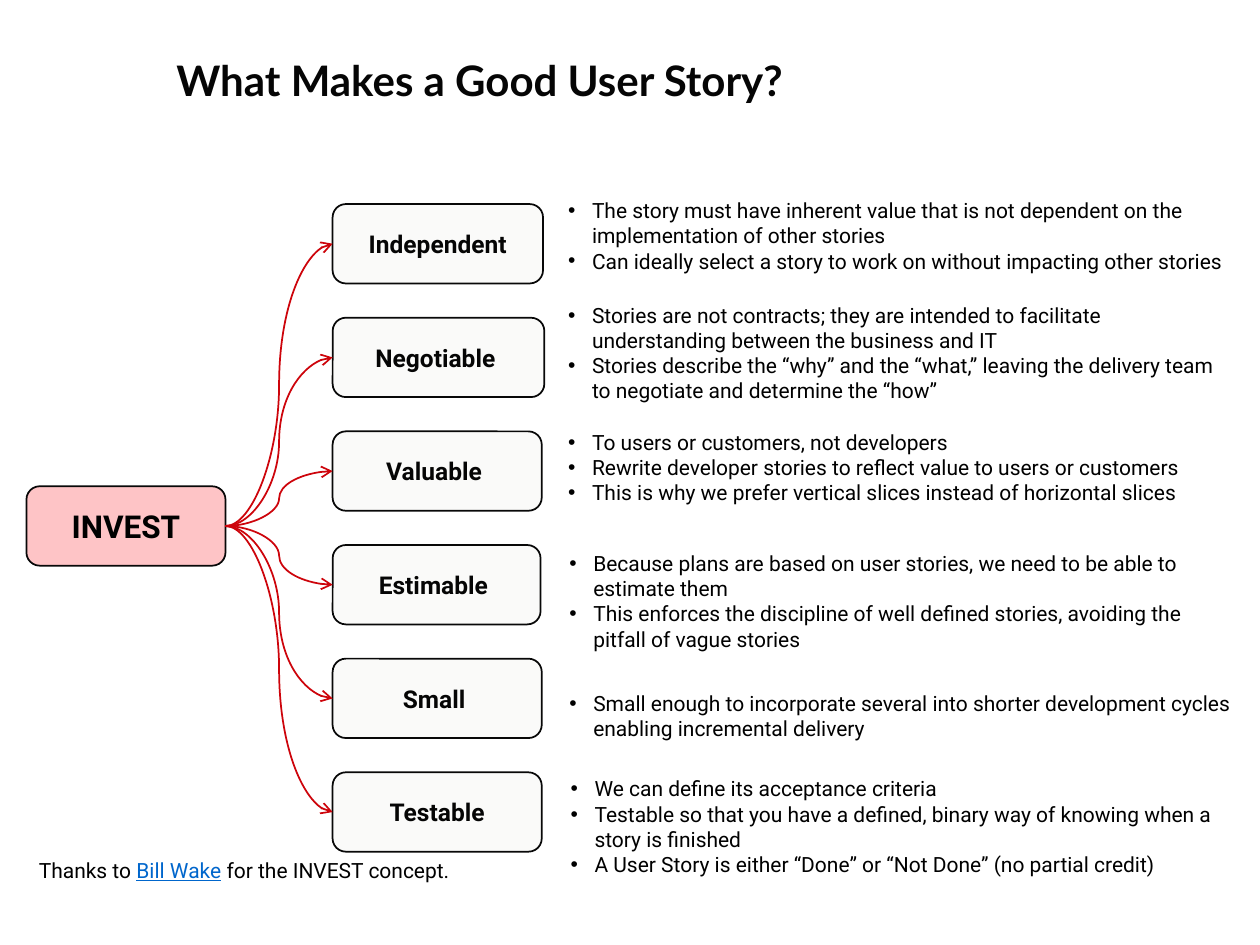
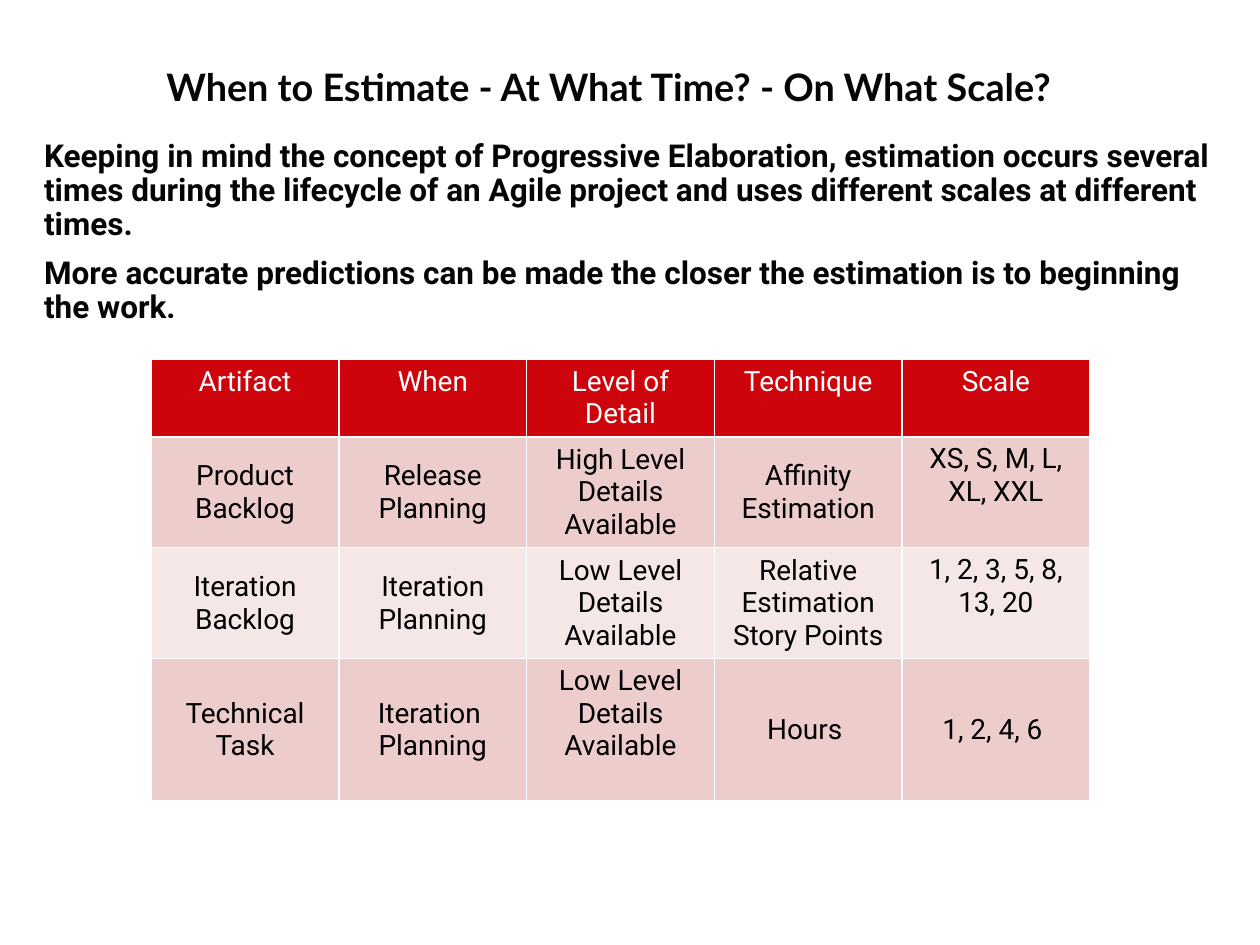
from dataclasses import dataclass

from pptx import Presentation
from pptx.dml.color import RGBColor
from pptx.enum.shapes import MSO_CONNECTOR, MSO_SHAPE
from pptx.enum.text import MSO_ANCHOR, MSO_AUTO_SIZE, PP_ALIGN
from pptx.oxml.ns import qn
from pptx.util import Inches, Pt
from lxml import etree

ROUNDED = MSO_SHAPE.ROUNDED_RECTANGLE
CURVE = MSO_CONNECTOR.CURVE
TOP, MIDDLE, BOTTOM = MSO_ANCHOR.TOP, MSO_ANCHOR.MIDDLE, MSO_ANCHOR.BOTTOM
LEFT, CENTER = PP_ALIGN.LEFT, PP_ALIGN.CENTER
NO_AUTOFIT = MSO_AUTO_SIZE.NONE
LEFT_SIDE, RIGHT_SIDE = 1, 3
TITLE_AND_CONTENT, TITLE_ONLY = 1, 5


@dataclass(frozen=True)
class Theme:
    heading_font: str = "Lato"
    body_font: str = "Roboto"
    ink: str = "050505"
    black: str = "000000"
    white: str = "FFFFFF"
    outline: str = "080808"
    red: str = "CD040B"
    pink: str = "FEC4C6"
    paper: str = "FAFAF9"
    link: str = "0066CC"
    bands: tuple = ("EDCCCC", "F6E7E7")
    title_size: float = 24
    long_title_size: float = 21.6
    lead_size: float = 18
    table_size: float = 16
    box_size: float = 14
    note_size: float = 12


THEME = Theme()

# Criterion, box width, left and top of its notes, notes
CRITERIA = [
    ("Independent", 1.67, 4.41, 1.52, [
        "The story must have inherent value that is not dependent on the "
        "implementation of other stories",
        "Can ideally select a story to work on without impacting other stories"]),
    ("Negotiable ", 1.68, 4.41, 2.35, [
        "Stories are not contracts; they are intended to facilitate "
        "understanding between the business and IT",
        "Stories describe the “why” and the “what,” leaving the delivery team "
        "to negotiate and determine the “how”"]),
    ("Valuable ", 1.66, 4.41, 3.36, [
        "To users or customers, not developers",
        "Rewrite developer stories to reflect value to users or customers",
        "This is why we prefer vertical slices instead of horizontal slices"]),
    ("Estimable ", 1.65, 4.42, 4.32, [
        "Because plans are based on user stories, we need to be able to "
        "estimate them",
        "This enforces the discipline of well defined stories, avoiding the "
        "pitfall of vague stories"]),
    ("Small ", 1.66, 4.42, 5.43, [
        "Small enough to incorporate several into shorter development cycles "
        "enabling incremental delivery"]),
    ("Testable", 1.66, 4.43, 6.11, [
        "We can define its acceptance criteria",
        "Testable so that you have a defined, binary way of knowing when a "
        "story is finished",
        "A User Story is either “Done” or “Not Done” (no partial credit)"]),
]

LEAD = [
    "Keeping in mind the concept of Progressive Elaboration, estimation occurs "
    "several times during the lifecycle of an Agile project and uses different "
    "scales at different times.",
    "More accurate predictions can be made the closer the estimation is to "
    "beginning the work.",
]

ESTIMATES = [
    ["Artifact", "When", "Level of Detail", "Technique", "Scale"],
    ["Product Backlog", "Release Planning", "High Level Details Available",
     "Affinity Estimation", "XS, S, M, L, XL, XXL"],
    ["Iteration Backlog", "Iteration Planning", "Low Level Details Available",
     "Relative Estimation\nStory Points", "1, 2, 3, 5, 8, 13, 20"],
    ["Technical Task", "Iteration \nPlanning", "Low Level Details Available",
     "Hours ", "1, 2, 4, 6 "],
]
ROW_HEIGHTS = [0.61, 0.88, 0.88, 1.13]
TOP_CELLS = {(1, 4), (2, 4), (3, 2)}


# Text helpers
def rgb(color):
    return RGBColor.from_string(color)


def set_attrs(target, values):
    for name, value in values.items():
        setattr(target, name, value)


def add_run(p, text, size, color=THEME.black, font=THEME.body_font,
            bold=False, underline=False):
    r = p.add_run()
    r.text = text
    set_attrs(r.font, {"name": font, "size": Pt(size), "bold": bold,
                       "underline": underline})
    r.font.color.rgb = rgb(color)


def write(tf, lines, para=None, **style):
    for i, line in enumerate(lines):
        p = tf.paragraphs[0] if i == 0 else tf.add_paragraph()
        set_attrs(p, para or {})
        add_run(p, line, **style)


def set_bullet(p, char=None, indent=0.0):
    pPr = p._p.get_or_add_pPr()
    pPr.set("marL", str(Inches(indent)))
    pPr.set("indent", str(-Inches(indent)))
    if char:
        etree.SubElement(pPr, qn("a:buFont")).set("typeface", "Arial")
        etree.SubElement(pPr, qn("a:buChar")).set("char", char)
    else:
        etree.SubElement(pPr, qn("a:buNone"))


# Placeholders
def place(sp, left, top, width, height, anchor):
    set_attrs(sp, {"left": Inches(left), "top": Inches(top),
                   "width": Inches(width), "height": Inches(height)})
    set_attrs(sp.text_frame, {
        "margin_left": 0, "margin_top": 0, "margin_right": 0, "margin_bottom": 0,
        "word_wrap": True, "auto_size": NO_AUTOFIT, "vertical_anchor": anchor})
    return sp.text_frame


def add_title(s, text, box, size):
    tf = place(s.shapes.title, *box, BOTTOM)
    write(tf, [text], {"alignment": LEFT, "line_spacing": 0.9}, size=size,
          color=THEME.ink, font=THEME.heading_font, bold=True)


def add_lead(s, lines, box):
    tf = place(s.placeholders[1], *box, TOP)
    write(tf, lines, {"line_spacing": 0.9, "space_before": Pt(9)},
          size=THEME.lead_size, color=THEME.ink, bold=True)
    for p in tf.paragraphs:
        set_bullet(p)


# Diagram parts
def add_text_box(s, left, top, width, height):
    sp = s.shapes.add_textbox(Inches(left), Inches(top), Inches(width), Inches(height))
    sp.text_frame.word_wrap = True
    return sp.text_frame


def add_notes_list(s, left, top, lines):
    tf = add_text_box(s, left, top, 5.45, 0.9)
    write(tf, lines, size=THEME.note_size)
    for p in tf.paragraphs:
        set_bullet(p, "•", 0.19)


def add_box(s, text, left, top, width, fill, size, color):
    sp = s.shapes.add_shape(ROUNDED, Inches(left), Inches(top),
                            Inches(width), Inches(0.63))
    sp.shadow.inherit = False
    sp.fill.solid()
    sp.fill.fore_color.rgb = rgb(fill)
    sp.line.color.rgb = rgb(THEME.outline)
    sp.line.width = Pt(1)
    set_attrs(sp.text_frame, {"word_wrap": True, "vertical_anchor": MIDDLE})
    write(sp.text_frame, [text], {"alignment": CENTER}, size=size, color=color, bold=True)
    return sp


def add_arrow(s, start, end):
    line = s.shapes.add_connector(CURVE, 0, 0, 0, 0)
    line.begin_connect(start, RIGHT_SIDE)
    line.end_connect(end, LEFT_SIDE)
    line.line.color.rgb = rgb(THEME.red)
    line.line.width = Pt(1)
    spPr = line._element.spPr
    etree.SubElement(spPr.find(qn("a:ln")), qn("a:tailEnd")).set("type", "arrow")
    etree.SubElement(spPr, qn("a:effectLst"))


# Table parts
def add_borders(cell, color, width):
    tcPr = cell._tc.get_or_add_tcPr()
    for side in ("lnL", "lnR", "lnT", "lnB"):
        ln = etree.SubElement(tcPr, qn(f"a:{side}"), w=str(Pt(width)))
        fill = etree.SubElement(ln, qn("a:solidFill"))
        etree.SubElement(fill, qn("a:srgbClr")).set("val", color)


def add_estimate_table(s, left, top, col_width):
    n_rows, n_cols = len(ESTIMATES), len(ESTIMATES[0])
    table = s.shapes.add_table(n_rows, n_cols, Inches(left), Inches(top),
                               Inches(col_width * n_cols),
                               Inches(sum(ROW_HEIGHTS))).table
    for col in table.columns:
        col.width = Inches(col_width)
    for i, (row, height) in enumerate(zip(ESTIMATES, ROW_HEIGHTS)):
        table.rows[i].height = Inches(height)
        header = i == 0
        for j, text in enumerate(row):
            cell = table.cell(i, j)
            add_borders(cell, THEME.white, 1)
            cell.fill.solid()
            cell.fill.fore_color.rgb = rgb(THEME.red if header else THEME.bands[(i - 1) % 2])
            cell.vertical_anchor = TOP if header or (i, j) in TOP_CELLS else MIDDLE
            write(cell.text_frame, text.split("\n"), {"alignment": CENTER},
                  size=THEME.table_size, color=THEME.white if header else THEME.black)


# Slides
def build_invest(prs):
    s = prs.slides.add_slide(prs.slide_layouts[TITLE_ONLY])
    add_title(s, "What Makes a Good User Story?", (1.4, 0.19, 6.04, 0.65),
              THEME.title_size)
    invest = add_box(s, "INVEST", 0.21, 3.86, 1.58, THEME.pink,
                     THEME.lead_size, THEME.black)
    first_top, last_top = 1.62, 6.13
    pitch = (last_top - first_top) / (len(CRITERIA) - 1)
    for i, (name, width, left, top, notes) in enumerate(CRITERIA):
        box = add_box(s, name, 2.64, first_top + i * pitch, width, THEME.paper,
                      THEME.box_size, THEME.ink)
        add_arrow(s, invest, box)
        add_notes_list(s, left, top, notes)

    # Credit line
    p = add_text_box(s, 0.21, 6.76, 3.54, 0.3).paragraphs[0]
    add_run(p, "Thanks to ", THEME.note_size)
    add_run(p, "Bill Wake", THEME.note_size, THEME.link, underline=True)
    add_run(p, " for the INVEST concept.", THEME.note_size)


def build_estimates(prs):
    s = prs.slides.add_slide(prs.slide_layouts[TITLE_AND_CONTENT])
    add_title(s, "When to Estimate - At What Time? - On What Scale?",
              (1.32, 0.16, 8.36, 0.71), THEME.long_title_size)
    add_lead(s, LEAD, (0.35, 1.11, 9.33, 1.48))
    add_estimate_table(s, 1.2, 2.85, 1.49)


def main():
    prs = Presentation()
    prs.slide_width, prs.slide_height = Inches(10), Inches(7.5)
    build_invest(prs)
    build_estimates(prs)
    prs.save("out.pptx")


if __name__ == "__main__":
    main()
